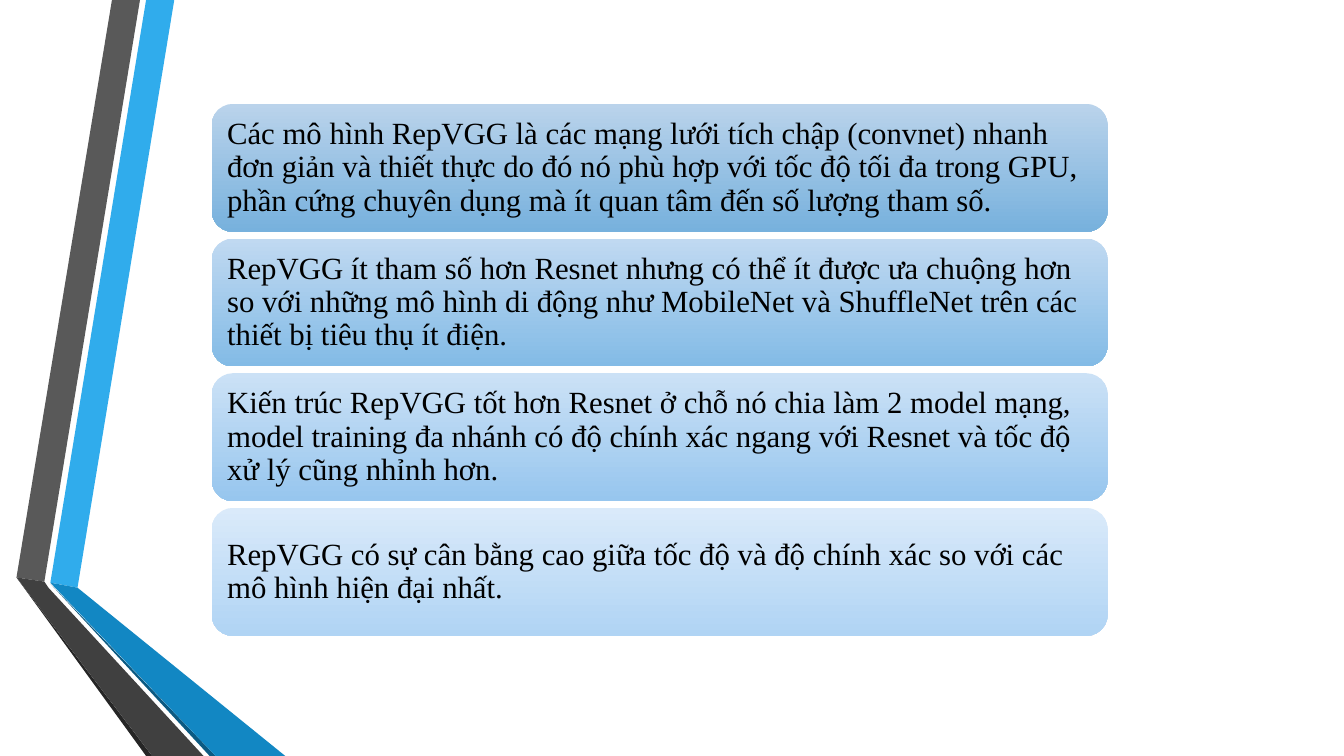
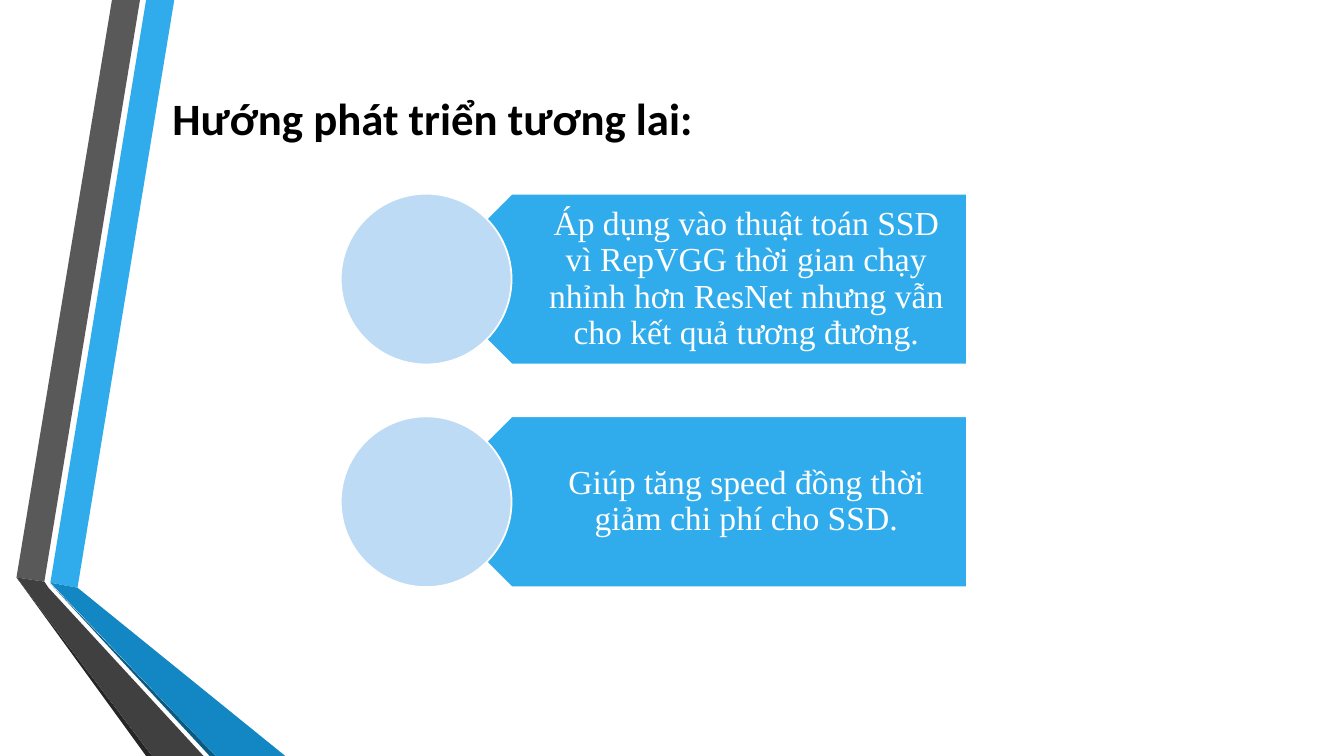
from collections import namedtuple
from dataclasses import dataclass

from pptx import Presentation
from pptx.dml.color import RGBColor
from pptx.enum.shapes import MSO_SHAPE
from pptx.enum.text import MSO_ANCHOR, PP_ALIGN
from pptx.util import Pt

Box = namedtuple("Box", "left top width height")


@dataclass(frozen=True)
class Theme:
    white: str = "FFFFFF"
    black: str = "000000"
    blue: str = "30ACEC"
    mid_blue: str = "1287C3"
    deep_blue: str = "0C5A82"
    pale_blue: str = "BEDBF6"
    grey: str = "595959"
    charcoal: str = "404040"
    near_black: str = "262626"
    card_gradients: tuple = (
        ("BAD3EB", "77B1DD"),
        ("C0D9F1", "83BBE6"),
        ("CBE1F6", "97C6EE"),
        ("DAEAFA", "B0D4F4"),
    )
    title_font: str = "Calibri"
    body_font: str = "Times New Roman"
    title_size: float = 32
    card_size: float = 22
    step_size: float = 24
    outline: float = 1.25
    line_spacing: float = 0.9


THEME = Theme()
SLIDE_WIDTH, SLIDE_HEIGHT = 960, 540

# Folded ribbon at the left edge, back to front
RIBBON = (
    (THEME.blue, ((36, 416.2), (55.4, 419.8), (124.5, 0), (104.4, 0))),
    (THEME.grey, ((100, 0), (80, 0), (11.8, 412.5), (31.7, 415.5))),
    (THEME.near_black, ((11.8, 412.5), (104.4, 540), (108.7, 540))),
    (THEME.deep_blue, ((36, 416.9), (149.8, 540), (154.1, 540))),
    (THEME.mid_blue, ((36, 416.2), (154.1, 540), (203.8, 540), (55.4, 419.8))),
    (THEME.charcoal, ((145.4, 540), (34.6, 419.8), (31.7, 415.5),
                      (11.8, 412.5), (108.7, 540))),
)

CARDS = (
    "Các mô hình RepVGG là các mạng lưới tích chập (convnet) nhanh đơn giản và "
    "thiết thực do đó nó phù hợp với tốc độ tối đa trong GPU, phần cứng chuyên "
    "dụng mà ít quan tâm đến số lượng tham số.",
    "RepVGG ít tham số hơn Resnet nhưng có thể ít được ưa chuộng hơn so với những "
    "mô hình di động như MobileNet và ShuffleNet trên các thiết bị tiêu thụ ít điện.",
    "Kiến trúc RepVGG tốt hơn Resnet ở chỗ nó chia làm 2 model mạng, model training "
    "đa nhánh có độ chính xác ngang với Resnet và tốc độ xử lý cũng nhỉnh hơn.",
    "RepVGG có sự cân bằng cao giữa tốc độ và độ chính xác so với các mô hình "
    "hiện đại nhất.",
)

TITLE = "Hướng phát triển tương lai:"
STEPS = (
    "Áp dụng vào thuật toán SSD vì RepVGG thời gian chạy nhỉnh hơn ResNet nhưng "
    "vẫn cho kết quả tương đương.",
    "Giúp tăng speed đồng thời giảm chi phí cho SSD.",
)


def color(value):
    return RGBColor.from_string(value)


def points(box):
    return [Pt(length) for length in box]


def stack(box, count, gap):
    """Split a box into equal rows with a gap between them."""
    height = (box.height - gap * (count - 1)) / count
    return [Box(box.left, box.top + index * (height + gap), box.width, height)
            for index in range(count)]


def paint(shape, fill, outline=None):
    shape.shadow.inherit = False
    shape.fill.solid()
    shape.fill.fore_color.rgb = color(fill)
    if outline:
        shape.line.color.rgb = color(outline)
        shape.line.width = Pt(THEME.outline)
    else:
        shape.line.fill.background()


def write(shape, text, font, size, ink, insets, bold=False, spacing=None,
          align=PP_ALIGN.LEFT, anchor=MSO_ANCHOR.MIDDLE):
    frame = shape.text_frame
    frame.word_wrap = True
    frame.vertical_anchor = anchor
    (frame.margin_left, frame.margin_top,
     frame.margin_right, frame.margin_bottom) = points(insets)
    paragraph = frame.paragraphs[0]
    paragraph.alignment = align
    if spacing:
        paragraph.line_spacing = spacing
    run = paragraph.add_run()
    run.text = text
    run.font.name = font
    run.font.size = Pt(size)
    run.font.bold = bold
    run.font.color.rgb = color(ink)


def add_ribbon(slide):
    for fill, corners in RIBBON:
        start, *rest = [points(corner) for corner in corners]
        builder = slide.shapes.build_freeform(*start)
        builder.add_line_segments(rest, close=True)
        paint(builder.convert_to_shape(), fill)


def add_title(slide, box, text):
    shape = slide.shapes.add_textbox(*points(box))
    write(shape, text, THEME.title_font, THEME.title_size, THEME.black,
          (7.2, 3.6, 7.2, 3.6), bold=True, anchor=MSO_ANCHOR.TOP)


def add_card(slide, box, text, gradient):
    shape = slide.shapes.add_shape(MSO_SHAPE.ROUNDED_RECTANGLE, *points(box))
    shape.shadow.inherit = False
    shape.line.fill.background()
    shape.fill.gradient()
    shape.fill.gradient_angle = 270
    for stop, value in zip(shape.fill.gradient_stops, gradient):
        stop.color.rgb = color(value)
    write(shape, text, THEME.body_font, THEME.card_size, THEME.black,
          (6.6, 6.6, 6.6, 6.6), spacing=THEME.line_spacing)


def add_step(slide, box, text):
    # Arrow plate pointing left, starting at the centre of the circle
    diameter = box.height
    right = box.left + box.width
    plate_left = box.left + diameter / 2
    plate = slide.shapes.add_shape(
        MSO_SHAPE.PENTAGON,
        *points((plate_left, box.top, right - plate_left, box.height)))
    plate.rotation = 180
    paint(plate, THEME.blue, THEME.white)

    # Upright text over the plate
    text_left = plate_left + diameter / 4
    label = slide.shapes.add_textbox(
        *points((text_left, box.top, right - text_left, box.height)))
    write(label, text, THEME.body_font, THEME.step_size, THEME.white,
          (54, 7.2, 13.7, 7.2), spacing=THEME.line_spacing,
          align=PP_ALIGN.CENTER)

    # Circle
    circle = slide.shapes.add_shape(
        MSO_SHAPE.OVAL, *points((box.left, box.top, diameter, diameter)))
    paint(circle, THEME.pale_blue, THEME.white)


def new_slide(presentation):
    slide = presentation.slides.add_slide(presentation.slide_layouts[6])
    add_ribbon(slide)
    return slide


def build_conclusion_slide(presentation):
    slide = new_slide(presentation)
    rows = stack(Box(151.2, 74.2, 640, 380), len(CARDS), 4.8)
    for row, text, gradient in zip(rows, CARDS, THEME.card_gradients):
        add_card(slide, row, text, gradient)


def build_future_slide(presentation):
    slide = new_slide(presentation)
    add_title(slide, Box(116, 61.2, 442, 46), TITLE)
    rows = stack(Box(243.4, 138.4, 447.4, 281), len(STEPS), 37)
    for row, text in zip(rows, STEPS):
        add_step(slide, row, text)


def main():
    presentation = Presentation()
    presentation.slide_width = Pt(SLIDE_WIDTH)
    presentation.slide_height = Pt(SLIDE_HEIGHT)
    build_conclusion_slide(presentation)
    build_future_slide(presentation)
    presentation.save("out.pptx")


if __name__ == "__main__":
    main()
